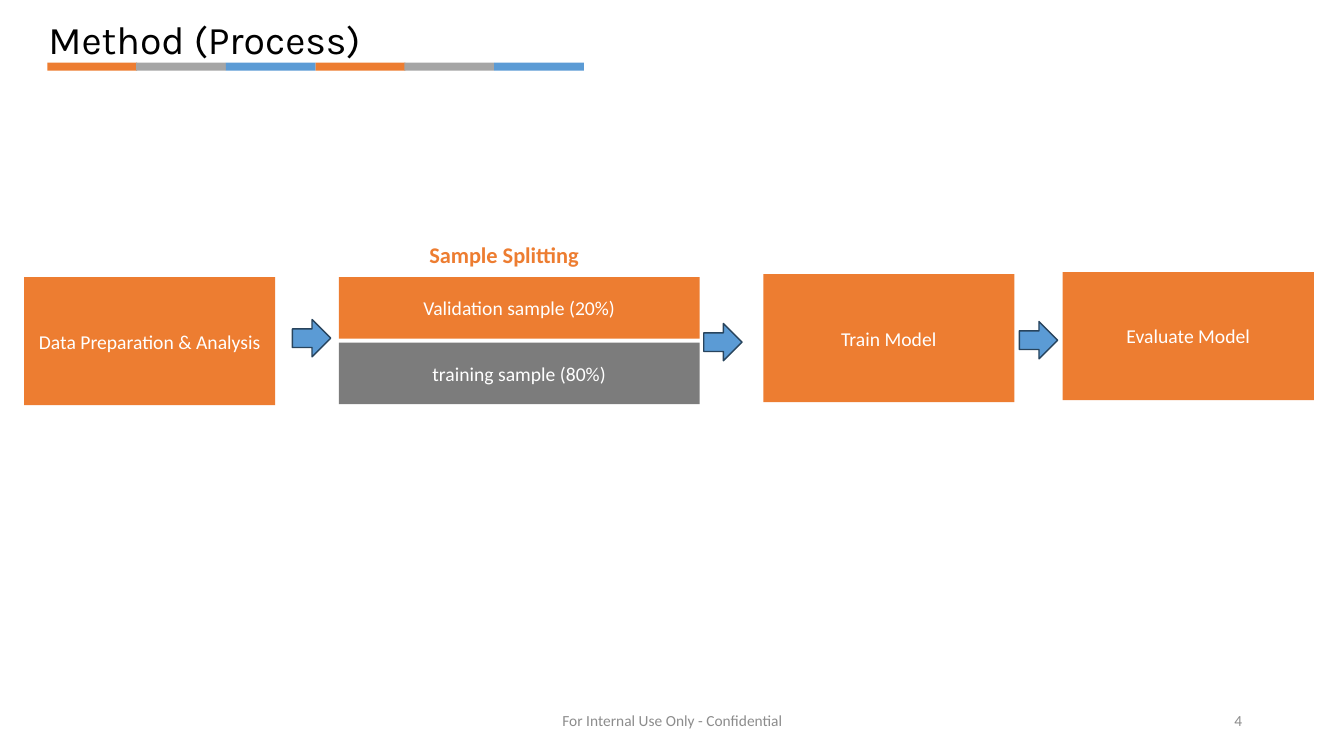
from pptx import Presentation
from pptx.dml.color import RGBColor
from pptx.enum import shapes, text
from pptx.util import Pt

PX = 9144  # EMU per px, 100 px to the inch
ORANGE = RGBColor(0xED, 0x7D, 0x31)
GRAY = RGBColor(0xA5, 0xA5, 0xA5)
BLUE = RGBColor(0x5B, 0x9B, 0xD5)
DARK_GRAY = RGBColor(0x7C, 0x7C, 0x7C)
FOOTER_GRAY = RGBColor(0x8C, 0x8C, 0x8C)
NAVY = RGBColor(0x28, 0x44, 0x5D)
BLACK = RGBColor(0, 0, 0)
WHITE = RGBColor(0xFF, 0xFF, 0xFF)
LEFT, CENTER, RIGHT = text.PP_ALIGN.LEFT, text.PP_ALIGN.CENTER, text.PP_ALIGN.RIGHT
TOP, MIDDLE = text.MSO_ANCHOR.TOP, text.MSO_ANCHOR.MIDDLE

presentation = Presentation()
presentation.slide_width, presentation.slide_height = 1333 * PX, 750 * PX
slide = presentation.slides.add_slide(presentation.slide_layouts[5])


def add_filled(kind, left, top, width, height, color):
    shape = slide.shapes.add_shape(kind, left * PX, top * PX, width * PX, height * PX)
    shape.shadow.inherit = False
    shape.fill.solid()
    shape.fill.fore_color.rgb = color
    shape.line.fill.background()
    return shape


def write(shape, words, size, color, align=CENTER, anchor=MIDDLE, font="Calibri", bold=False):
    frame = shape.text_frame
    frame.word_wrap = True
    frame.auto_size = text.MSO_AUTO_SIZE.NONE
    frame.vertical_anchor = anchor
    paragraph = frame.paragraphs[0]
    paragraph.alignment = align
    run = paragraph.add_run()
    run.text = words
    run.font.name, run.font.size, run.font.bold = font, Pt(size), bold
    run.font.color.rgb = color


# Title and its striped rule
for index, color in enumerate([ORANGE, GRAY, BLUE] * 2):
    add_filled(shapes.MSO_SHAPE.RECTANGLE, 47 + index * 532 // 6, 62, 89, 8, color)

title = slide.shapes.title
title.left, title.top, title.width, title.height = 38 * PX, 10 * PX, 922 * PX, 79 * PX
write(title, "Method (Process)", 28, BLACK, LEFT, TOP, "Karla")

# Process steps
for left, top, width, height, color, words in [
    (24, 275, 249, 127, ORANGE, "Data Preparation & Analysis"),
    (336, 275, 358, 61, ORANGE, "Validation sample (20%)"),
    (336, 340, 358, 61, DARK_GRAY, "training sample (80%)"),
    (757, 272, 249, 127, ORANGE, "Train Model"),
    (1054, 270, 249, 127, ORANGE, "Evaluate Model"),
]:
    step = add_filled(shapes.MSO_SHAPE.RECTANGLE, left, top, width, height, color)
    write(step, words, 14, WHITE)

for left, top in [(290, 317), (698, 321), (1011, 319)]:
    arrow = add_filled(shapes.MSO_SHAPE.RIGHT_ARROW, left, top, 38, 37, BLUE)
    arrow.line.color.rgb = NAVY
    arrow.line.width = Pt(1)

# Step heading, footer and page number
for left, top, width, height, words, size, color, align, anchor, bold in [
    (397, 234, 206, 37, "Sample Splitting", 16, ORANGE, CENTER, TOP, True),
    (442, 695, 450, 40, "For Internal Use Only - Confidential", 11, FOOTER_GRAY, CENTER, MIDDLE, False),
    (942, 695, 300, 40, "4", 11, FOOTER_GRAY, RIGHT, MIDDLE, False),
]:
    label = slide.shapes.add_textbox(left * PX, top * PX, width * PX, height * PX)
    write(label, words, size, color, align, anchor, bold=bold)

presentation.save("out.pptx")
